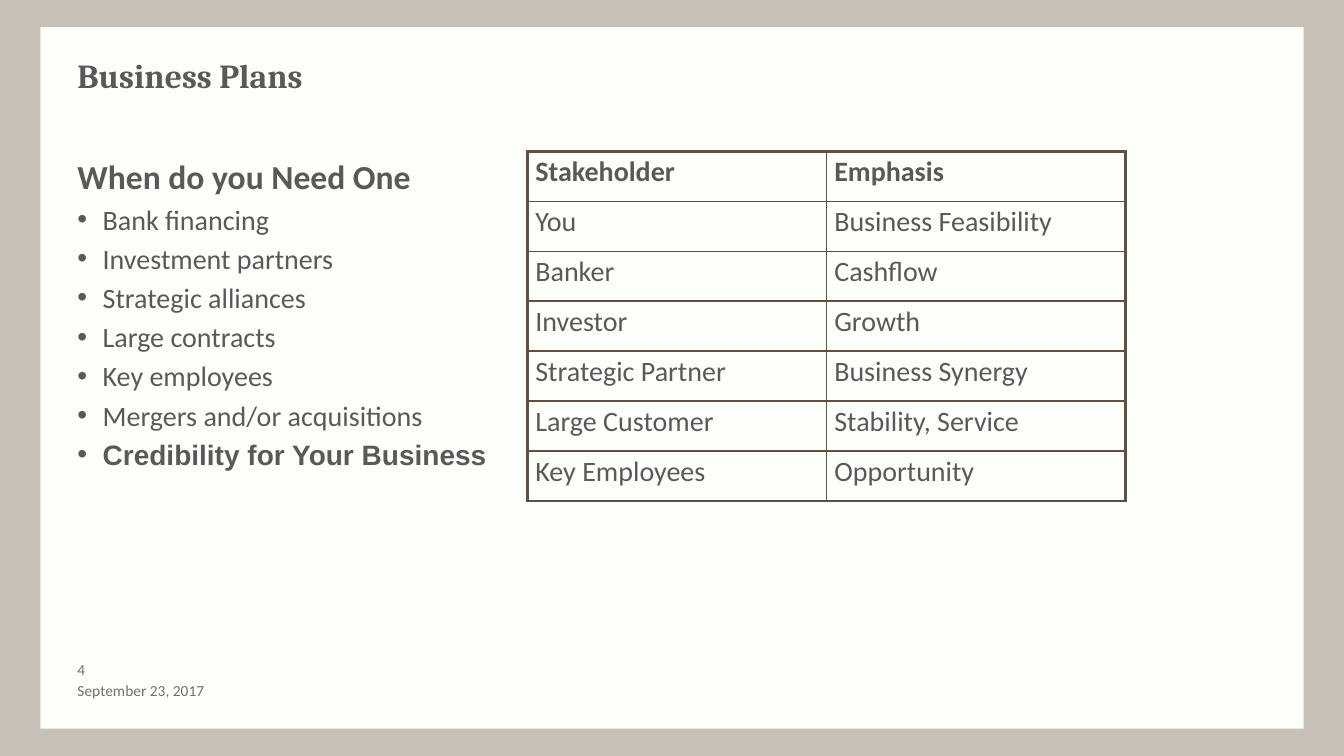
from dataclasses import dataclass

from lxml.etree import SubElement
from pptx import Presentation
from pptx.dml.color import RGBColor
from pptx.enum.shapes import MSO_SHAPE as Shape
from pptx.enum.text import MSO_ANCHOR as Anchor
from pptx.oxml.ns import qn
from pptx.util import Inches, Pt

INK, MUTED, BORDER = "595959", "717171", "615042"
PAPER, FRAME = "FDFFFB", "C6C0B7"


@dataclass
class Line:
    text: str
    size: float = 20
    font: str = "Calibri"
    bold: bool = False
    color: str = INK
    bullet: bool = False
    spaced: bool = False


@dataclass
class Block:
    left: float
    top: float
    width: float
    height: float
    lines: list[Line]
    inset: float = 0.05
    right_inset: float = 0.1
    anchor: Anchor = Anchor.TOP


def rgb(value: str) -> RGBColor:
    return RGBColor.from_string(value)


def write_line(paragraph, line: Line) -> None:
    paragraph.text = line.text
    font = paragraph.runs[0].font
    font.size, font.name, font.bold = Pt(line.size), line.font, line.bold
    font.color.rgb = rgb(line.color)
    if line.spaced:
        paragraph.space_before = Pt(line.size * 0.2)
    if line.bullet:
        props = paragraph._p.get_or_add_pPr()
        props.set("marL", str(Inches(0.25)))
        props.set("indent", str(-Inches(0.25)))
        SubElement(props, qn("a:buFont"), typeface="Arial")
        SubElement(props, qn("a:buChar"), char="•")


def draw_block(slide, block: Block) -> None:
    box = slide.shapes.add_textbox(
        Inches(block.left), Inches(block.top), Inches(block.width), Inches(block.height))
    frame = box.text_frame
    frame.word_wrap = True
    frame.vertical_anchor = block.anchor
    frame.margin_left, frame.margin_right = Inches(0.1), Inches(block.right_inset)
    frame.margin_top = frame.margin_bottom = Inches(block.inset)
    for index, line in enumerate(block.lines):
        write_line(frame.add_paragraph() if index else frame.paragraphs[0], line)


def set_borders(cell, outer: dict[str, bool]) -> None:
    props = cell._tc.get_or_add_tcPr()
    for position, (side, is_outer) in enumerate(outer.items()):
        width = Pt(2.25 if is_outer else 1)
        edge = SubElement(props, qn(f"a:ln{side}"), w=str(width))
        fill = SubElement(edge, qn("a:solidFill"))
        SubElement(fill, qn("a:srgbClr"), val=BORDER)
        props.insert(position, edge)


def draw_table(slide, rows: list[tuple[str, str]]) -> None:
    last_row, last_col = len(rows) - 1, len(rows[0]) - 1
    table = slide.shapes.add_table(
        len(rows), len(rows[0]), Inches(5.23), Inches(1.5), Inches(5.93), Inches(3.47)).table
    table.first_row = table.horz_banding = False
    for r, row in enumerate(rows):
        for c, text in enumerate(row):
            cell = table.cell(r, c)
            cell.fill.background()
            cell.margin_left = cell.margin_right = Inches(0.08)
            cell.margin_top = cell.margin_bottom = Inches(0.04)
            write_line(cell.text_frame.paragraphs[0], Line(text, bold=r == 0, spaced=True))
            set_borders(cell, {"L": c == 0, "R": c == last_col,
                               "T": r == 0, "B": r == last_row})


presentation = Presentation()
presentation.slide_width, presentation.slide_height = Inches(13.33), Inches(7.5)
slide = presentation.slides.add_slide(presentation.slide_layouts[6])

# Framed page
slide.background.fill.solid()
slide.background.fill.fore_color.rgb = rgb(FRAME)
page = slide.shapes.add_shape(
    Shape.RECTANGLE, Inches(0.4), Inches(0.27), Inches(12.53), Inches(6.96))
page.shadow.inherit = False
page.fill.solid()
page.fill.fore_color.rgb = rgb(PAPER)
page.line.fill.background()

# Title, reasons and footer
reasons = ["Bank financing", "Investment partners", "Strategic alliances",
           "Large contracts", "Key employees", "Mergers and/or acquisitions"]
blocks = [
    Block(0.67, 0.5, 12, 0.75, [Line("Business Plans", 24, "Cambria", bold=True)]),
    Block(0.67, 1.5, 5.84, 4.75, [
        Line("When do you Need One", 24, bold=True, spaced=True),
        *(Line(reason, bullet=True, spaced=True) for reason in reasons),
        Line("Credibility for Your Business", font="Arial", bold=True,
             bullet=True, spaced=True),
    ]),
    Block(0.67, 6.75, 2.67, 0.2, [Line("September 23, 2017", 11, color=MUTED)],
          inset=0, anchor=Anchor.MIDDLE),
    Block(0.67, 6.55, 0.53, 0.2, [Line("4", 11, color=MUTED)], inset=0, right_inset=0),
]
for block in blocks:
    draw_block(slide, block)

# Stakeholder table
draw_table(slide, [
    ("Stakeholder", "Emphasis"),
    ("You", "Business Feasibility"),
    ("Banker", "Cashflow"),
    ("Investor", "Growth"),
    ("Strategic Partner", "Business Synergy"),
    ("Large Customer", "Stability, Service"),
    ("Key Employees", "Opportunity"),
])

presentation.save("out.pptx")
